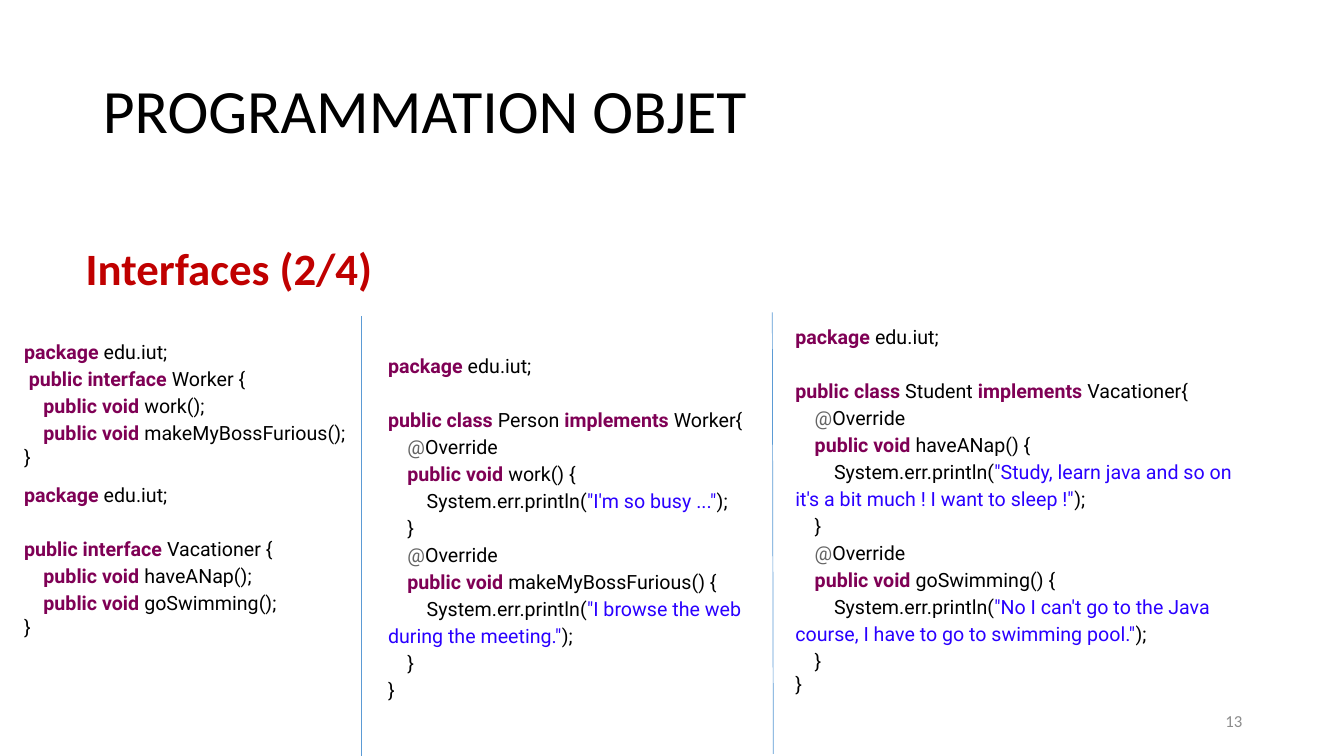
from itertools import groupby

from lxml import etree
from pptx import Presentation
from pptx.dml.color import RGBColor
from pptx.enum.shapes import MSO_CONNECTOR
from pptx.enum.text import MSO_ANCHOR, MSO_AUTO_SIZE, PP_ALIGN
from pptx.oxml.ns import qn
from pptx.util import Inches, Pt

LEFT, RIGHT = PP_ALIGN.LEFT, PP_ALIGN.RIGHT
MIDDLE, TOP = MSO_ANCHOR.MIDDLE, MSO_ANCHOR.TOP
FIXED, GROW = MSO_AUTO_SIZE.NONE, MSO_AUTO_SIZE.SHAPE_TO_FIT_TEXT
LINE = MSO_CONNECTOR.STRAIGHT

BLACK = RGBColor(0x00, 0x00, 0x00)
RED = RGBColor(0xC0, 0x00, 0x00)
GRAY = RGBColor(0x8C, 0x8C, 0x8C)
PURPLE = RGBColor(0x7F, 0x00, 0x55)
BLUE = RGBColor(0x2A, 0x00, 0xFF)
SIGN = RGBColor(0x64, 0x64, 0x64)
RULE = RGBColor(0x5B, 0x9B, 0xD5)

KEYS = {"package", "public", "interface", "class", "void", "implements"}
SPACE = 0.048  # width of one space of code, in inches
GAP = Pt(19)   # one line of code

# left, top, width, height, spacing of the last line, code
BLOCKS = [
    (0.14, 3.29, 4.02, 1.42, 1.0, """package edu.iut;
 public interface Worker {
    public void work();
    public void makeMyBossFurious();
}"""),
    (0.14, 4.71, 3.45, 1.69, 1.0, """package edu.iut;

public interface Vacationer {
    public void haveANap();
    public void goSwimming();
}"""),
    (3.75, 3.43, 3.92, 3.62, 1.15, """package edu.iut;

public class Person implements Worker{
    @Override
    public void work() {
        System.err.println("I'm so busy ...");
    }
    @Override
    public void makeMyBossFurious() {
        System.err.println("I browse the web during the meeting.");
    }
}"""),
    (7.79, 3.14, 4.68, 3.86, 1.0, """package edu.iut;

public class Student implements Vacationer{
    @Override
    public void haveANap() {
        System.err.println("Study, learn java and so on it's a bit much ! I want to sleep !");
    }
    @Override
    public void goSwimming() {
        System.err.println("No I can't go to the Java course, I have to go to swimming pool.");
    }
}"""),
]


def tokens(line):
    """Yield (text, colour) pieces of one line of code."""
    for i, part in enumerate(line.split('"')):
        if i % 2:
            yield f'"{part}"', BLUE
        elif part.startswith("@"):
            yield "@", SIGN
            yield part[1:], BLACK
        else:
            words = part.split(" ")
            for n, word in enumerate(words):
                end = " " if n < len(words) - 1 else ""
                yield word + end, PURPLE if word in KEYS else BLACK


def style(shape, size, color, anchor, align, bold=False):
    frame = shape.text_frame
    frame.word_wrap = True
    frame.auto_size = FIXED
    frame.vertical_anchor = anchor
    para = frame.paragraphs[0]
    para.alignment = align
    para.font.name = "Calibri"
    para.font.size = Pt(size)
    para.font.color.rgb = color
    para.font.bold = bold
    return para


deck = Presentation()
deck.slide_width, deck.slide_height = Inches(13.33), Inches(7.5)
slide = deck.slides.add_slide(deck.slide_layouts[1])
shapes = slide.shapes

title = shapes.title
title.left, title.top = Inches(0.92), Inches(0.4)
title.width, title.height = Inches(11.5), Inches(1.45)
title.text = "PROGRAMMATION OBJET"
style(title, 44, BLACK, MIDDLE, LEFT).line_spacing = 0.9

body = slide.placeholders[1]
body.left, body.top = Inches(0.75), Inches(2.4)
body.width, body.height = Inches(11.83), Inches(0.74)
body.text = "Interfaces (2/4)"
para = style(body, 32, RED, TOP, LEFT, True)
para.line_spacing = 0.9
para.space_before = Pt(10)
props = para._p.get_or_add_pPr()
props.set("marL", "0")
props.set("indent", "0")
etree.SubElement(props, qn("a:buNone"))

page = shapes.add_textbox(Inches(9.42), Inches(6.95), Inches(3), Inches(0.4))
page.text_frame.text = "13"
style(page, 12, GRAY, MIDDLE, RIGHT)

for left, top, width, height, last, code in BLOCKS:
    box = shapes.add_textbox(Inches(left), Inches(top), Inches(width), Inches(height))
    frame = box.text_frame
    frame.word_wrap = True
    frame.auto_size = GROW
    para, gap = frame.paragraphs[0], Pt(0)
    for line in code.split("\n"):
        if not line:
            gap = GAP
            continue
        if para.runs:
            para = frame.add_paragraph()
        text = line.lstrip()
        para.space_before, gap = gap, Pt(0)
        para.line_spacing = 1.15
        para.font.name = "Roboto"
        para.font.size = Pt(14)
        indent = Inches(SPACE * (len(line) - len(text)))
        para._p.get_or_add_pPr().set("indent", str(indent))
        for color, group in groupby(tokens(text), key=lambda piece: piece[1]):
            run = para.add_run()
            run.text = "".join(piece[0] for piece in group)
            run.font.color.rgb = color
            run.font.bold = color == PURPLE
    para.line_spacing = last

for x, end, top in [(3.58, 3.58, 3.14), (7.66, 7.67, 3.1)]:
    rule = shapes.add_connector(LINE, Inches(x), Inches(top), Inches(end), Inches(top + 4.38))
    rule.line.color.rgb = RULE
    rule.line.width = Pt(0.5)
    etree.SubElement(rule._element.spPr, qn("a:effectLst"))

deck.save("out.pptx")
